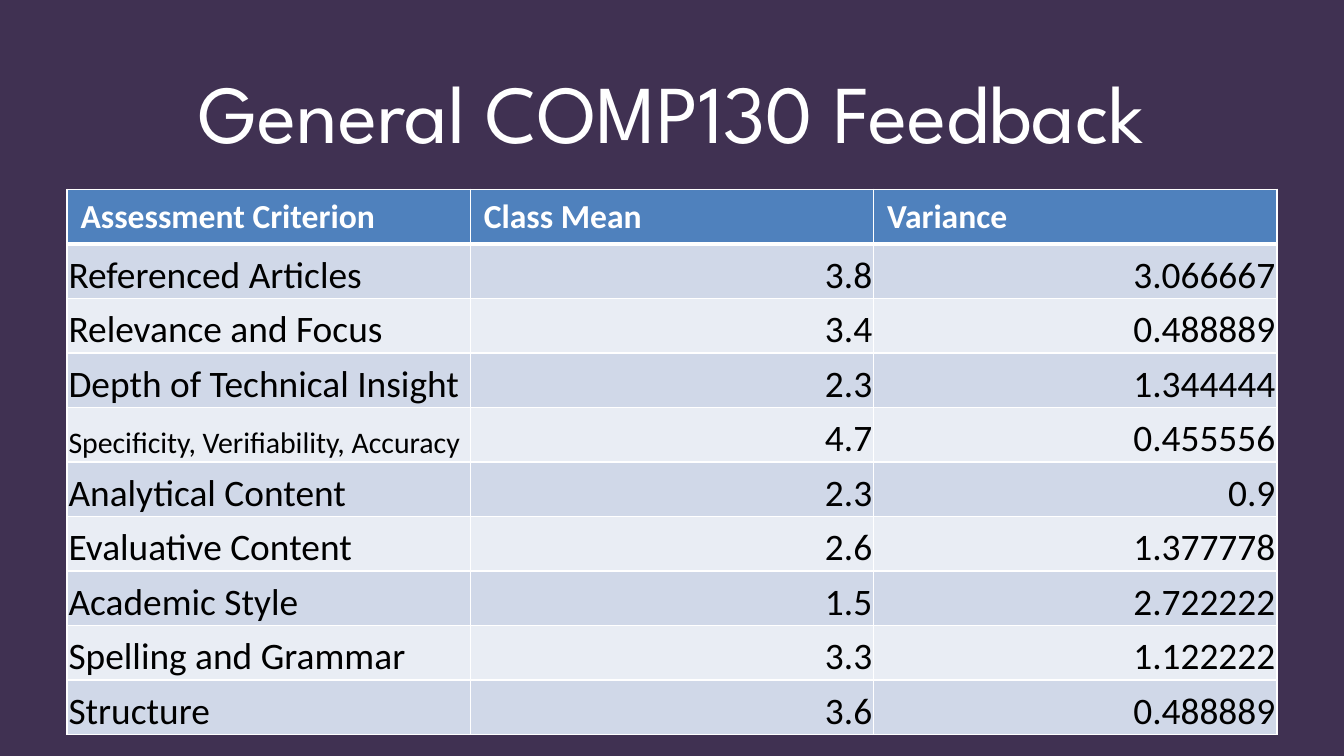
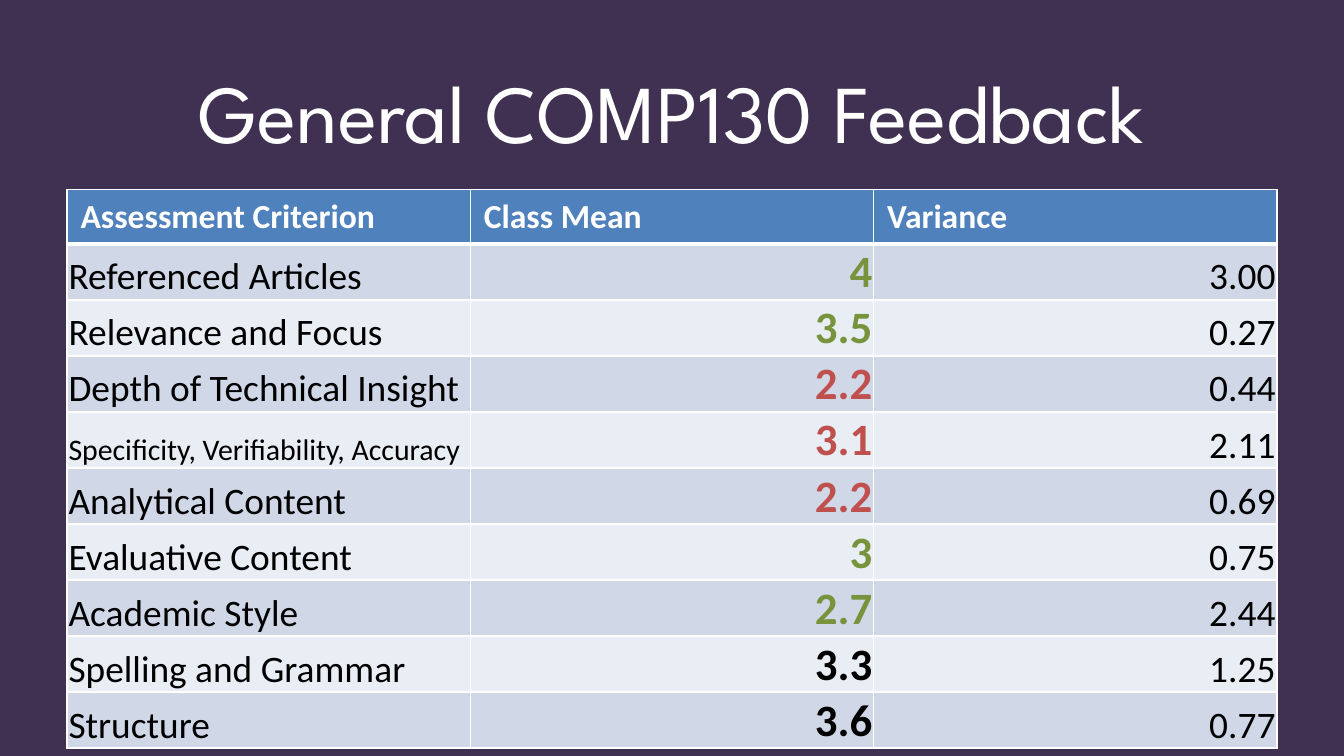
from dataclasses import dataclass

from lxml.etree import SubElement
from pptx import Presentation
from pptx.dml.color import RGBColor
from pptx.enum.text import MSO_ANCHOR, PP_ALIGN
from pptx.oxml.ns import qn
from pptx.util import Inches, Pt

SLIDE_WIDTH = Inches(10)
SLIDE_HEIGHT = SLIDE_WIDTH * 9 // 16
COLUMN, ROW = SLIDE_WIDTH / 20, SLIDE_HEIGHT / 16

PURPLE, BLUE, WHITE, BLACK = "403152", "4F81BD", "FFFFFF", "000000"
BANDS = ("D0D8E8", "E9EDF4")
GREEN, RED = "77933C", "C0504D"

TITLE = "General COMP130 Feedback"
TITLE_FONT, BODY_FONT = "League Spartan", "Calibri"
HEADINGS = ("Assessment Criterion", "Class Mean", "Variance")
CRITERIA = (
    "Referenced Articles",
    "Relevance and Focus",
    "Depth of Technical Insight",
    "Specificity, Verifiability, Accuracy",
    "Analytical Content",
    "Evaluative Content",
    "Academic Style",
    "Spelling and Grammar",
    "Structure",
)


@dataclass(frozen=True)
class Area:
    """A place on the slide, in grid columns and rows."""

    left: float
    top: float
    width: float
    height: float

    def lengths(self) -> tuple[int, int, int, int]:
        """Return left, top, width and height as slide lengths."""
        return (
            int(self.left * COLUMN),
            int(self.top * ROW),
            int(self.width * COLUMN),
            int(self.height * ROW),
        )


@dataclass(frozen=True)
class TextStyle:
    """The look of one paragraph."""

    size: int
    color: str = BLACK
    bold: bool = False
    align: PP_ALIGN = PP_ALIGN.LEFT
    font: str = BODY_FONT


@dataclass(frozen=True)
class Result:
    """The class mean and variance of one criterion."""

    mean: str
    variance: str
    mean_color: str = BLACK


@dataclass(frozen=True)
class Feedback:
    """The results shown on one slide."""

    results: tuple[Result, ...]
    mean_size: int = 20
    mean_bold: bool = False


TITLE_AREA = Area(1, 1, 18, 2.67)
TABLE_AREA = Area(1, 4.01, 18, 11.54)
TITLE_STYLE = TextStyle(44, WHITE, align=PP_ALIGN.CENTER, font=TITLE_FONT)
HEADING_STYLE = TextStyle(18, WHITE, bold=True)
VARIANCE_STYLE = TextStyle(20, align=PP_ALIGN.RIGHT)

FEEDBACKS = (
    Feedback((
        Result("3.8", "3.066667"),
        Result("3.4", "0.488889"),
        Result("2.3", "1.344444"),
        Result("4.7", "0.455556"),
        Result("2.3", "0.9"),
        Result("2.6", "1.377778"),
        Result("1.5", "2.722222"),
        Result("3.3", "1.122222"),
        Result("3.6", "0.488889"),
    )),
    Feedback((
        Result("4", "3.00", GREEN),
        Result("3.5", "0.27", GREEN),
        Result("2.2", "0.44", RED),
        Result("3.1", "2.11", RED),
        Result("2.2", "0.69", RED),
        Result("3", "0.75", GREEN),
        Result("2.7", "2.44", GREEN),
        Result("3.3", "1.25"),
        Result("3.6", "0.77"),
    ), mean_size=24, mean_bold=True),
)


def paint(fill, color: str) -> None:
    """Make a fill solid in a hex colour."""
    fill.solid()
    fill.fore_color.rgb = RGBColor.from_string(color)


def write(frame, text: str, style: TextStyle) -> None:
    """Put one styled paragraph in a text frame."""
    frame.text = text
    paragraph = frame.paragraphs[0]
    paragraph.alignment = style.align
    font = paragraph.font
    font.name, font.size, font.bold = style.font, Pt(style.size), style.bold
    paint(font.fill, style.color)


def add_border(cell, side: str, points: float) -> None:
    """Draw a white line on one side (L, R, T or B) of a cell."""
    properties = cell._tc.get_or_add_tcPr()
    line = SubElement(properties, qn(f"a:ln{side}"), w=str(Pt(points)))
    SubElement(SubElement(line, qn("a:solidFill")), qn("a:srgbClr"), val=WHITE)


def draw_heading(cell, text: str) -> None:
    """Fill a cell of the heading row."""
    for side, points in zip("LRTB", (1, 1, 1, 3)):
        add_border(cell, side, points)
    paint(cell.fill, BLUE)
    write(cell.text_frame, text, HEADING_STYLE)


def draw_entry(cell, text: str, style: TextStyle, band: str) -> None:
    """Fill a cell below the heading row."""
    for side in "LRB":
        add_border(cell, side, 1)
    paint(cell.fill, band)
    cell.vertical_anchor = MSO_ANCHOR.BOTTOM
    cell.margin_left = cell.margin_right = cell.margin_top = Inches(0.01)
    cell.margin_bottom = 0
    write(cell.text_frame, text, style)


def add_feedback_table(slide, feedback: Feedback) -> None:
    """Add the table of criteria, means and variances."""
    table = slide.shapes.add_table(
        len(CRITERIA) + 1, len(HEADINGS), *TABLE_AREA.lengths()
    ).table
    for column, heading in enumerate(HEADINGS):
        draw_heading(table.cell(0, column), heading)
    for row, (criterion, result) in enumerate(zip(CRITERIA, feedback.results), 1):
        criterion_style = TextStyle(16 if len(criterion) > 30 else 20)
        mean_style = TextStyle(
            feedback.mean_size, result.mean_color, feedback.mean_bold, PP_ALIGN.RIGHT
        )
        entries = (
            (criterion, criterion_style),
            (result.mean, mean_style),
            (result.variance, VARIANCE_STYLE),
        )
        band = BANDS[(row - 1) % len(BANDS)]
        for column, (text, style) in enumerate(entries):
            draw_entry(table.cell(row, column), text, style, band)


def add_feedback_slide(presentation, feedback: Feedback) -> None:
    """Add a titled slide with one feedback table."""
    slide = presentation.slides.add_slide(presentation.slide_layouts[5])
    title = slide.shapes.title
    title.left, title.top, title.width, title.height = TITLE_AREA.lengths()
    title.text_frame.vertical_anchor = MSO_ANCHOR.MIDDLE
    write(title.text_frame, TITLE, TITLE_STYLE)
    add_feedback_table(slide, feedback)


def main() -> None:
    """Build and save the presentation."""
    presentation = Presentation()
    presentation.slide_width, presentation.slide_height = SLIDE_WIDTH, SLIDE_HEIGHT
    paint(presentation.slide_master.background.fill, PURPLE)
    for feedback in FEEDBACKS:
        add_feedback_slide(presentation, feedback)
    presentation.save("out.pptx")


if __name__ == "__main__":
    main()
